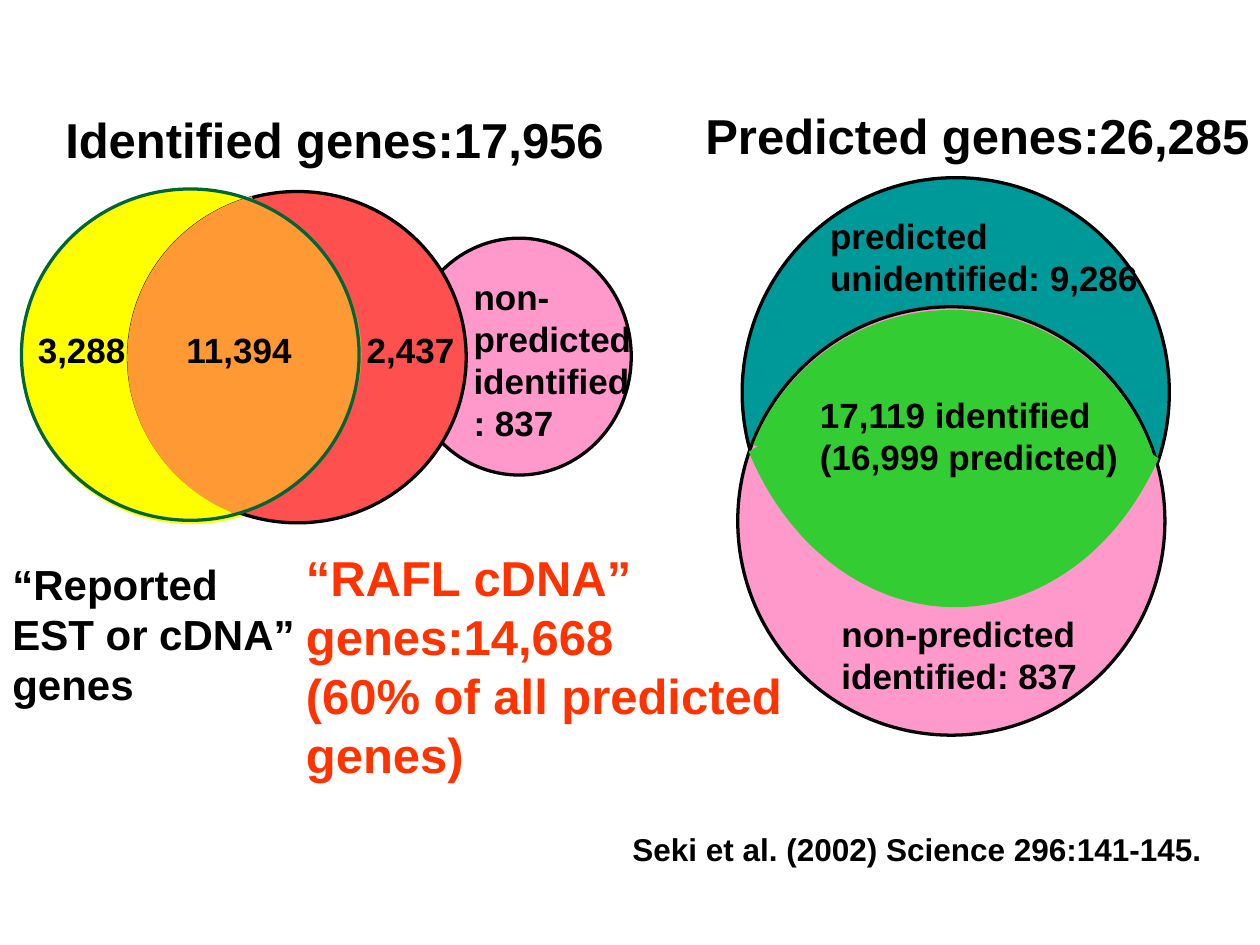
from dataclasses import dataclass
from typing import Optional, Tuple

from pptx import Presentation
from pptx import util as u
from pptx.dml.color import RGBColor
from pptx.enum import shapes, text

# Slide grid: 100 columns by 75 rows
COLS, ROWS = 100, 75
WIDE, HIGH = u.Inches(10), u.Inches(7.5)

BLACK = RGBColor(0, 0, 0)
PINK = RGBColor(0xFF, 0x99, 0xCC)
YELLOW = RGBColor(0xFF, 0xFF, 0)
RED = RGBColor(0xFF, 0x50, 0x50)
ORANGE = RGBColor(0xFF, 0x99, 0x33)
FOREST = RGBColor(0, 0x66, 0x33)
TEAL = RGBColor(0, 0x99, 0x99)
GREEN = RGBColor(0x33, 0xCC, 0x33)
FLAME = RGBColor(0xFF, 0x33, 0)

Box = Tuple[float, float, float, float]  # column, row, columns, rows


@dataclass
class Disc:
    box: Box
    fill: Optional[RGBColor] = None
    line: Optional[RGBColor] = None
    arc: Optional[Tuple[float, float]] = None  # sector's start and end, degrees
    turn: float = 0


@dataclass
class Label:
    box: Box
    lines: Tuple[str, ...]
    size: int = 20
    color: RGBColor = BLACK
    pad: bool = True


def place(box: Box) -> list:
    units = (WIDE / COLS, HIGH / ROWS) * 2
    return [round(n * unit) for n, unit in zip(box, units)]


def draw_disc(slide, disc: Disc) -> None:
    kind = shapes.MSO_SHAPE.PIE if disc.arc else shapes.MSO_SHAPE.OVAL
    shape = slide.shapes.add_shape(kind, *place(disc.box))
    shape.shadow.inherit = False
    shape.rotation = disc.turn
    for i, angle in enumerate(disc.arc or ()):
        shape.adjustments[i] = angle * 0.6  # 60000 units a degree, over 100000
    if disc.fill is None:
        shape.fill.background()
    else:
        shape.fill.solid()
        shape.fill.fore_color.rgb = disc.fill
    if disc.line is None:
        shape.line.fill.background()
    else:
        shape.line.color.rgb = disc.line
        shape.line.width = u.Pt(1.87)


def draw_label(slide, label: Label) -> None:
    frame = slide.shapes.add_textbox(*place(label.box)).text_frame
    frame.word_wrap = True
    frame.auto_size = text.MSO_AUTO_SIZE.SHAPE_TO_FIT_TEXT
    side, edge = (0.1, 0.05) if label.pad else (0, 0)
    frame.margin_left, frame.margin_right = u.Inches(side), 0  # spare room right
    frame.margin_top = frame.margin_bottom = u.Inches(edge)
    for i, line in enumerate(label.lines):
        para = frame.add_paragraph() if i else frame.paragraphs[0]
        run = para.add_run()
        run.text = line
        run.font.name = "Arial"
        run.font.size = u.Pt(label.size)
        run.font.bold = True
        run.font.color.rgb = label.color


# Identified genes: two overlapping sets and a small one behind
LEFT = [
    Disc((32.3, 18.9, 17.8, 18.8), PINK, BLACK),
    Disc((1.7, 15.1, 26.9, 26.5), YELLOW),
    Disc((10.2, 15.2, 26.8, 26.3), RED, BLACK),
    Disc((-6.4, 13.9, 35.1, 28.4), ORANGE, arc=(303.4, 60.3)),
    Disc((10.1, 15.1, 27, 26.6), ORANGE, arc=(111, 254.3)),
    Disc((1.7, 15, 26.8, 26.3), line=FOREST),
]

# Predicted genes: two sets one above the other, with their overlap
RIGHT = [
    Disc((58.8, 14.2, 34.1, 33.9), TEAL, BLACK, turn=90),
    Disc((58.5, 24.4, 34, 33.9), PINK, BLACK, turn=90),
    Disc((53.5, 7.6, 44.6, 36.6), GREEN, arc=(303, 58.7), turn=90),
    Disc((58.6, 24.6, 33.8, 33.8), GREEN, arc=(111.5, 254.4), turn=90),
]

LABELS = [
    # Headings
    Label((4.2, 8.2, 44.7, 5.7), ("Identified genes:17,956",), 28),
    Label((55, 7.9, 45.1, 5.7), ("Predicted genes:26,285",), 28),
    # Counts on the left sets
    Label((36.6, 21.4, 14.5, 14.4),
          ("non-", "predicted", "identified", ": 837")),
    Label((3, 26.1, 7.2, 3.3), ("3,288",), pad=False),
    Label((14.8, 26.1, 8.7, 3.3), ("11,394",), pad=False),
    Label((29.1, 26.1, 7.2, 3.3), ("2,437",), pad=False),
    # Names of the left sets
    Label((0, 43.8, 24.4, 13), ("“Reported", "EST or cDNA”", "genes"), 24),
    Label((23.3, 43, 39.7, 19.7),
          ("“RAFL cDNA”", "genes:14,668", "(60% of all predicted", "genes)"),
          28, FLAME),
    # Counts on the right sets
    Label((64.9, 16.5, 26.4, 7.7), ("predicted", "unidentified: 9,286")),
    Label((64.1, 30.7, 25.6, 7.7),
          ("17,119 identified", "(16,999 predicted)")),
    Label((65.8, 48.1, 21.3, 7.7), ("non-predicted", "identified: 837")),
    # Citation
    Label((49.2, 65.4, 47.1, 4),
          ("Seki et al. (2002) Science 296:141-145.",), 18),
]


def main() -> None:
    deck = Presentation()
    deck.slide_width, deck.slide_height = WIDE, HIGH
    slide = deck.slides.add_slide(deck.slide_layouts[6])
    for disc in LEFT + RIGHT:
        draw_disc(slide, disc)
    for label in LABELS:
        draw_label(slide, label)
    deck.save("out.pptx")


if __name__ == "__main__":
    main()
